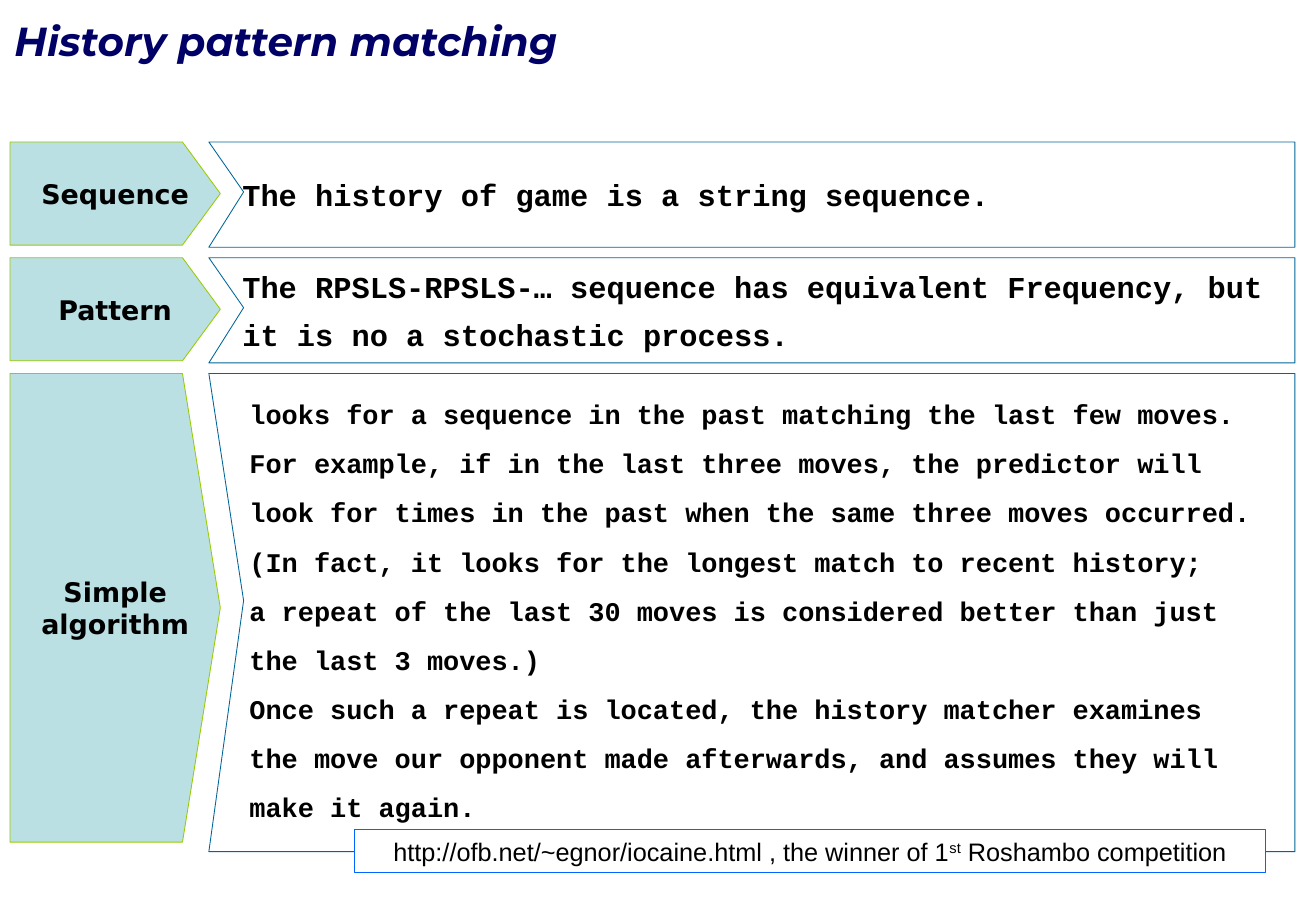
from collections import namedtuple

from pptx import Presentation
from pptx.dml.color import RGBColor
from pptx.enum.shapes import MSO_SHAPE
from pptx.enum.text import MSO_ANCHOR as Anchor, PP_ALIGN as Align
from pptx.util import Cm, Pt

NAVY = RGBColor(0x00, 0x00, 0x66)
BLACK = RGBColor(0x00, 0x00, 0x00)
WHITE = RGBColor(0xFF, 0xFF, 0xFF)
PALE_TEAL = RGBColor(0xBB, 0xE0, 0xE3)
LIME = RGBColor(0x99, 0xCC, 0x00)
STEEL = RGBColor(0x00, 0x66, 0x99)
BLUE = RGBColor(0x00, 0x66, 0xFF)

Box = namedtuple("Box", "left top width height")
Row = namedtuple("Row", "label lines height size space leading indent rise")

TITLE = dict(name="Montserrat", size=Pt(24), bold=True, italic=True, color=NAVY)
LABEL = dict(name="DejaVu Sans", size=Pt(16), bold=True, color=BLACK)
BODY = dict(name="Courier New", bold=True, color=BLACK)
SOURCE = dict(name="Arial", size=Pt(15), color=BLACK)

ROWS = [
    Row(["Sequence"], ["The history of game is a string sequence."],
        2.2, 18, 6.8, 1.0, 0.57, 0),
    Row(["Pattern"],
        ["The RPSLS-RPSLS-… sequence has equivalent Frequency, but",
         "it is no a stochastic process."],
        2.2, 18, 6.8, 1.0, 0.57, 0),
    Row(["Simple", "algorithm"],
        ["looks for a sequence in the past matching the last few moves.",
         "For example, if in the last three moves, the predictor will",
         "look for times in the past when the same three moves occurred.",
         "(In fact, it looks for the longest match to recent history;",
         "a repeat of the last 30 moves is considered better than just",
         "the last 3 moves.)",
         "Once such a repeat is located, the history matcher examines",
         "the move our opponent made afterwards, and assumes they will",
         "make it again."],
        10.0, 16, 8, 1.1, 0.72, 0.08),
]
ROW_GAP = 0.22
INSET = Cm(0.13)


def format_span(span, style):
    for key, value in style.items():
        if key == "color":
            span.font.color.rgb = value
        else:
            setattr(span.font, key, value)


def set_frame(frame, side=INSET):
    settings = dict(word_wrap=True, vertical_anchor=Anchor.MIDDLE,
                    margin_left=side, margin_right=side,
                    margin_top=INSET, margin_bottom=INSET)
    for key, value in settings.items():
        setattr(frame, key, value)


def write_lines(frame, lines, style, align=Align.LEFT, space=0, leading=1.0):
    for index, line in enumerate(lines):
        para = frame.add_paragraph() if index else frame.paragraphs[0]
        para.alignment = align
        para.line_spacing = leading
        para.space_before = Pt(space if index else 0)
        span = para.add_run()
        span.text = line
        format_span(span, style)


def paint(shape, fill, line, weight):
    shape.shadow.inherit = False
    if fill is None:
        shape.fill.background()
    else:
        shape.fill.solid()
        shape.fill.fore_color.rgb = fill
    shape.line.color.rgb = line
    shape.line.width = Pt(weight)


def add_outline(page, box, points, fill, line):
    corners = [(Cm(box.left + x * box.width), Cm(box.top + y * box.height))
               for x, y in points]
    builder = page.shapes.build_freeform(*corners[0])
    builder.add_line_segments(corners[1:], close=True)
    shape = builder.convert_to_shape()
    paint(shape, fill, line, 0.5)
    return shape


def add_text_box(page, box):
    return page.shapes.add_textbox(*map(Cm, box)).text_frame


def add_title(page, box):
    frame = add_text_box(page, box)
    set_frame(frame, side=Cm(0.3))
    write_lines(frame, ["History pattern matching"], TITLE)


def add_row(page, box, row):
    label_box = Box(box.left, box.top, 4.4, box.height * 0.98)
    arrow = [(0, 0), (0.82, 0), (1, 0.5), (0.82, 1), (0, 1)]
    label = add_outline(page, label_box, arrow, PALE_TEAL, LIME)
    set_frame(label.text_frame)
    write_lines(label.text_frame, row.label, LABEL, Align.CENTER)

    panel = Box(box.left + 4.16, box.top, box.width - 4.16, box.height)
    notched = [(0, 0), (0.032, 0.475), (0, 1), (1, 1), (1, 0)]
    add_outline(page, panel, notched, None, STEEL)

    frame = add_text_box(page, Box(panel.left + row.indent, box.top - row.rise,
                                   21.77, box.height))
    set_frame(frame)
    write_lines(frame, row.lines, dict(BODY, size=Pt(row.size)),
                space=row.space, leading=row.leading)


def add_source(page, box):
    shape = page.shapes.add_shape(MSO_SHAPE.RECTANGLE, *map(Cm, box))
    paint(shape, WHITE, BLUE, 0.75)
    set_frame(shape.text_frame, side=Cm(0.25))
    para = shape.text_frame.paragraphs[0]
    para.alignment = Align.CENTER
    for text, raised in [
            ("http://ofb.net/~egnor/iocaine.html , the winner of 1", False),
            ("st", True), (" Roshambo competition", False)]:
        span = para.add_run()
        span.text = text
        format_span(span, SOURCE)
        if raised:
            span.font._element.set("baseline", "30000")


def main():
    deck = Presentation()
    deck.slide_width, deck.slide_height = Cm(27.53), Cm(19.05)
    page = deck.slides.add_slide(deck.slide_layouts[6])
    add_title(page, Box(0, 0, 27.5, 1.7))
    top = 2.97
    for row in ROWS:
        add_row(page, Box(0.21, top, 26.88, row.height), row)
        top += row.height + ROW_GAP
    add_source(page, Box(7.42, 17.35, 19.05, 0.9))
    deck.save("out.pptx")


if __name__ == "__main__":
    main()
